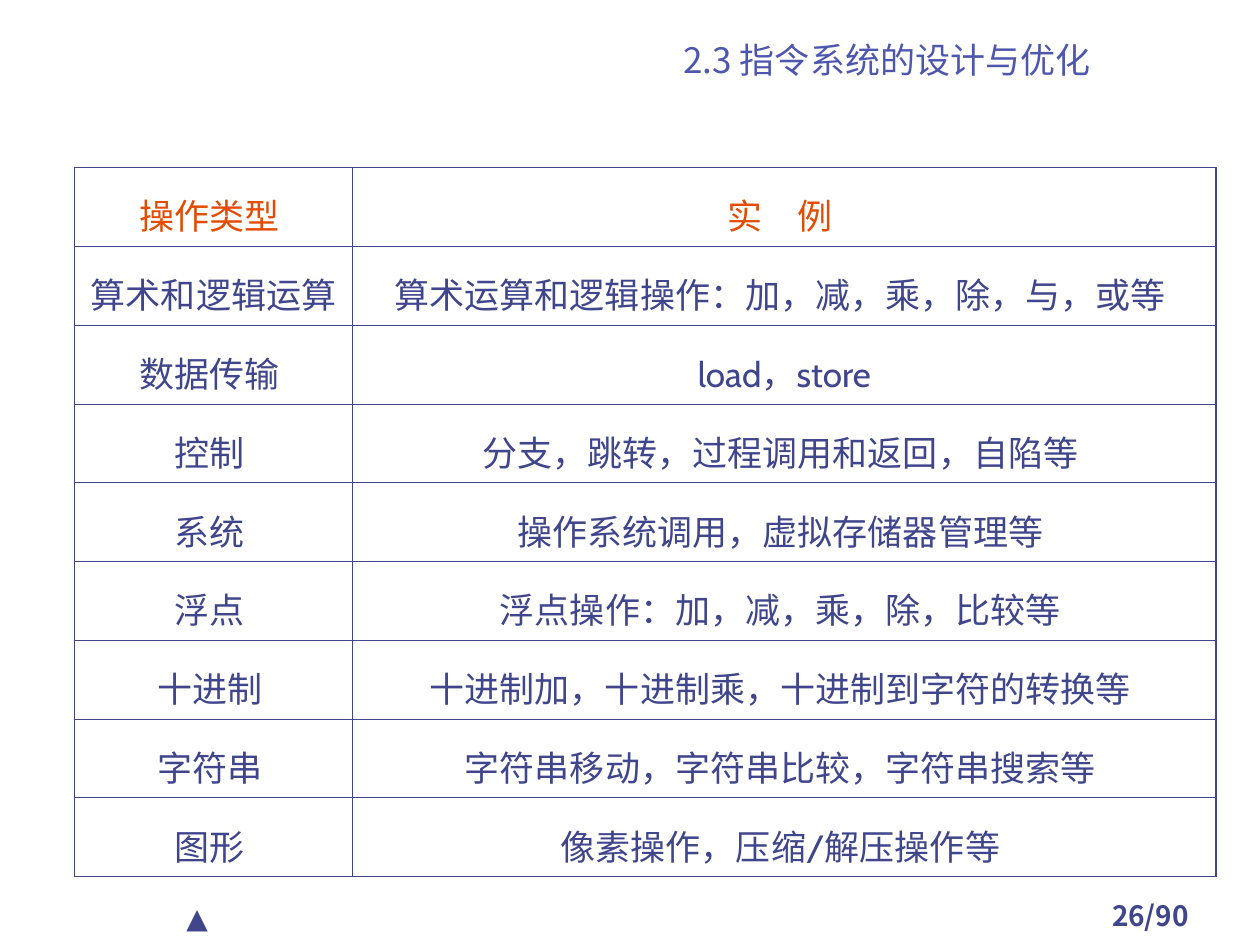
from lxml import etree
from pptx import Presentation
from pptx.dml.color import RGBColor
from pptx.enum.text import MSO_ANCHOR, PP_ALIGN
from pptx.oxml.ns import qn
from pptx.util import Inches, Pt

LEFT, CENTER = PP_ALIGN.LEFT, PP_ALIGN.CENTER
TOP, BOTTOM = MSO_ANCHOR.TOP, MSO_ANCHOR.BOTTOM

OPERATIONS = [
    ("操作类型 ", "实　例 "),
    ("算术和逻辑运算 ", "算术运算和逻辑操作：加，减，乘，除，与，或等 "),
    ("数据传输 ", "load，store"),
    ("控制 ", "分支，跳转，过程调用和返回，自陷等 "),
    ("系统 ", "操作系统调用，虚拟存储器管理等 "),
    ("浮点 ", "浮点操作：加，减，乘，除，比较等 "),
    ("十进制 ", "十进制加，十进制乘，十进制到字符的转换等 "),
    ("字符串 ", "字符串移动，字符串比较，字符串搜索等 "),
    ("图形 ", "像素操作，压缩/解压操作等 "),
]


def color(value):
    return RGBColor.from_string(value)


def write(frame, text, size=20, ink="40458C", font="Cabin", bold=False,
          align=CENTER, spacing=None):
    paragraph = frame.paragraphs[0]
    paragraph.alignment = align
    if spacing:
        paragraph.line_spacing = spacing
    run = paragraph.add_run()
    run.text = text
    run.font.size = Pt(size)
    run.font.bold = bold
    run.font.name = font
    run.font.color.rgb = color(ink)
    east_asian = etree.SubElement(run.font._element, qn("a:ea"))
    east_asian.set("typeface", SlideBuilder.CJK)


class SlideBuilder:
    INK = "40458C"
    HEADING = "4F56AD"
    ACCENT = "E24C05"
    CJK = "Noto Sans CJK SC"
    THIN, THICK = 0.45, 1.08

    def __init__(self, slide):
        self.slide = slide

    def text(self, text, left, top, width, height, anchor=TOP, **style):
        box = self.slide.shapes.add_textbox(
            Inches(left), Inches(top), Inches(width), Inches(height))
        frame = box.text_frame
        frame.word_wrap = True
        frame.vertical_anchor = anchor
        write(frame, text, **style)

    def borders(self, cell, outer_sides):
        properties = cell._tc.get_or_add_tcPr()
        for index, side in enumerate("LRTB"):
            width = self.THICK if side in outer_sides else self.THIN
            line = etree.Element(qn(f"a:ln{side}"), w=str(Pt(width)))
            fill = etree.SubElement(line, qn("a:solidFill"))
            etree.SubElement(fill, qn("a:srgbClr"), val=self.INK)
            properties.insert(index, line)

    def table(self, rows, left, top, widths, height):
        grid = self.slide.shapes.add_table(
            len(rows), len(widths), Inches(left), Inches(top),
            Inches(sum(widths)), Inches(height)).table
        grid.first_row = grid.horz_banding = False
        for column, width in zip(grid.columns, widths):
            column.width = Inches(width)
        last_row, last_column = len(rows) - 1, len(widths) - 1
        for r, row in enumerate(rows):
            grid.rows[r].height = Inches(height / len(rows))
            for c, text in enumerate(row):
                cell = grid.cell(r, c)
                cell.fill.background()
                write(cell.text_frame, text, spacing=1.3,
                      ink=self.ACCENT if r == 0 else self.INK)
                edges = {"L": c == 0, "R": c == last_column,
                         "T": r == 0, "B": r == last_row}
                self.borders(cell, [s for s in edges if edges[s]])
                # Text sits low in its row
                cell.vertical_anchor = BOTTOM


def main():
    deck = Presentation()
    deck.slide_width, deck.slide_height = Inches(10), Inches(7.5)
    page = SlideBuilder(deck.slides.add_slide(deck.slide_layouts[6]))

    # Footer: page number and marker
    page.text("26/90", 8.42, 7.08, 1.42, 0.33, size=16, font=page.CJK, bold=True)
    page.text("▲", 1.38, 7.1, 1.42, 0.37, size=16, align=LEFT)

    # Section heading
    page.text("2.3 指令系统的设计与优化", 4.25, 0.27, 5.58, 0.42,
              anchor=BOTTOM, ink=page.HEADING, font=page.CJK)

    # Operation types and examples
    page.table(OPERATIONS, 0.59, 1.33, (2.21, 6.85), 5.63)

    deck.save("out.pptx")


if __name__ == "__main__":
    main()
